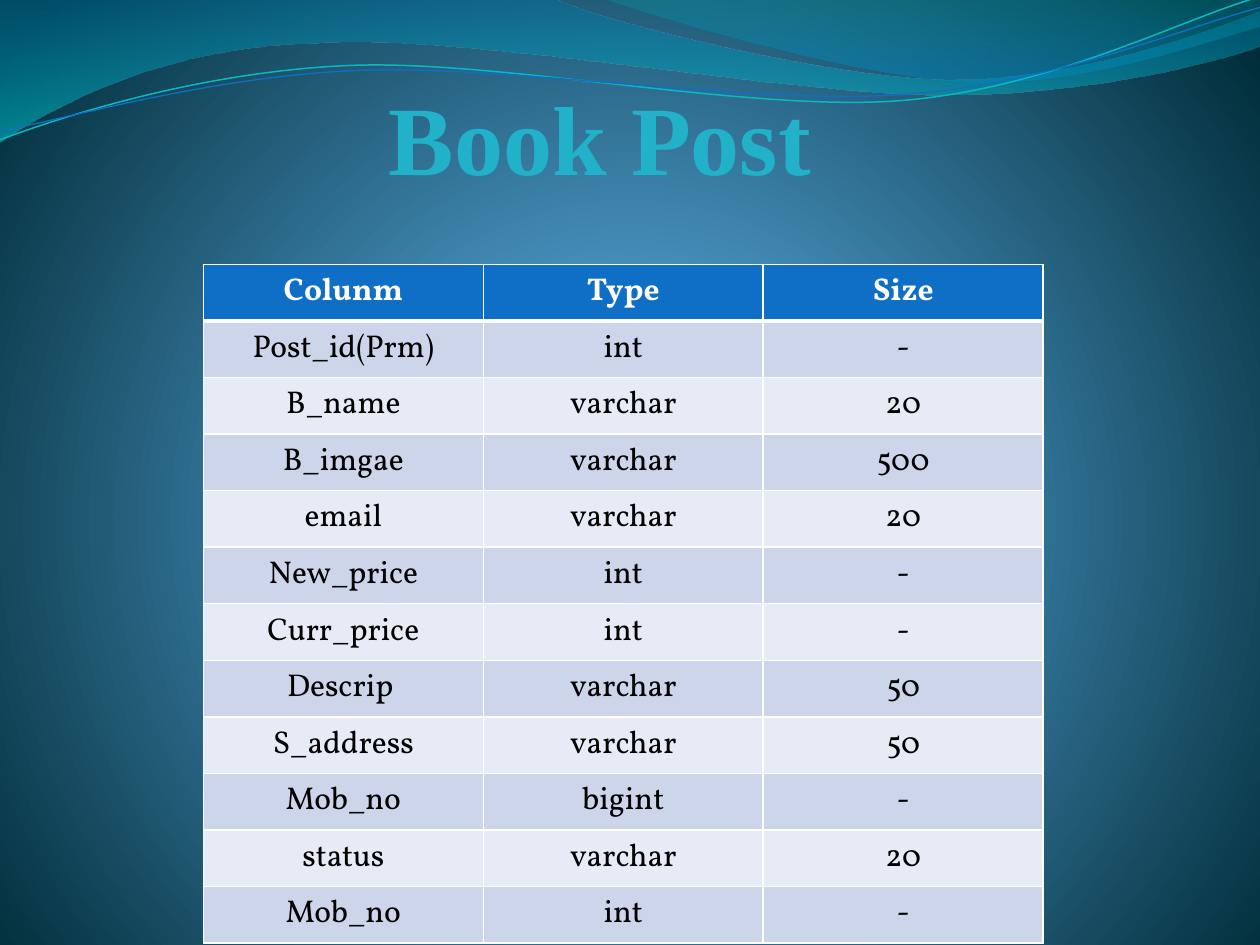
from math import cos, radians, sin

from lxml import etree
from pptx import Presentation
from pptx.dml.color import RGBColor
from pptx.enum.text import MSO_ANCHOR, PP_ALIGN
from pptx.oxml import parse_xml
from pptx.oxml.ns import nsdecls, qn
from pptx.util import Cm, Pt

MID, LOW = PP_ALIGN.CENTER, MSO_ANCHOR.BOTTOM
INCH = 2.54
TILT = -2.7

TITLE = "Book Post"
ROWS = [
    ("Colunm", "Type", "Size"),
    ("Post_id(Prm)", "int", "-"),
    ("B_name", "varchar", "20"),
    ("B_imgae", "varchar", "500"),
    ("email", "varchar", "20"),
    ("New_price", "int", "-"),
    ("Curr_price", "int", "-"),
    ("Descrip ", "varchar", "50"),
    ("S_address", "varchar", "50"),
    ("Mob_no", "bigint", "-"),
    ("status", "varchar", "20"),
    ("Mob_no", "int", "-"),
]

THEME = {
    "title": ("Times New Roman", 56, "21B2C9", True),
    "head": ("Vollkorn", 18, "FFFFFF", True),
    "body": ("Vollkorn", 18, "000000", False),
    "fills": ("0F6FC6", "CCD5EA", "E7EBF5"),
    "edge": "FFFFFF",
    "back": [(0, "4AA0D6", 100), (25, "4C98C7", 100), (100, "002C38", 100)],
}

BANDS = [
    ([(0, 0), (4.4, -0.01),
      (4.76, 0.17, 6.64, 0.63, 7.58, 0.63), (8.53, 0.63, 9.58, 0.26, 10, 0.09),
      (10.01, 0.36),
      (9.83, 0.44, 8.7, 0.76, 7.46, 0.75), (6.22, 0.75, 3.82, 0.28, 2.57, 0.34),
      (1.29, 0.36, 0.46, 0.83, -0.01, 1.13)],
     [(0, "0074A1", 45), (100, "00C6CF", 55)]),
    ([(4.79, -0.01),
      (5.09, 0.11, 6.82, 0.62, 7.69, 0.65), (8.56, 0.69, 9.61, 0.32, 10, 0.21),
      (10, 0)],
     [(0, "00A1A9", 30), (80, "008BBF", 45)]),
]
WAVES = [
    ([(0, 1.11), (0.48, 0.93, 1.58, 0.57, 2.77, 0.52),
      (3.95, 0.47, 5.93, 0.89, 7.13, 0.8), (8.33, 0.71, 9.38, 0.15, 9.98, -0.02)],
     (4.99, 0.57), "0AB8BF", 0.85),
    ([(0, 1.04), (0.47, 0.96, 1.64, 0.61, 2.83, 0.56),
      (4.03, 0.51, 5.97, 0.84, 7.17, 0.75), (8.36, 0.67, 9.41, 0.21, 10, 0.06)],
     (5, 0.59), "0F6FC6", 0.75),
]


def turn(step, hub, angle):
    co, si = cos(radians(angle)), sin(radians(angle))
    out = []
    for x, y in zip(step[::2], step[1::2]):
        x, y = x - hub[0], y - hub[1]
        out += [hub[0] + x * co - y * si, hub[1] + x * si + y * co]
    return out


def draw(slide, path, close):
    steps = [[Cm(v * INCH) for v in step] for step in path]
    pen = slide.shapes.build_freeform(*steps[0])
    pen.add_line_segments([step[-2:] for step in steps[1:]], close=close)
    shape = pen.convert_to_shape()
    shape.shadow.inherit = False
    lines = list(shape._element.iter(qn("a:lnTo")))
    for line, step in zip(lines, steps[1:]):
        if len(step) == 6:
            line.tag = qn("a:cubicBezTo")
            for i in (0, 2):
                knot = etree.Element(qn("a:pt"), x=str(step[i] - shape.left),
                                     y=str(step[i + 1] - shape.top))
                line.insert(i // 2, knot)
    return shape


def blend(root, stops, shade):
    grad = parse_xml(f'<a:gradFill {nsdecls("a")} rotWithShape="1"><a:gsLst/>{shade}</a:gradFill>')
    for pos, hue, alpha in stops:
        stop = etree.SubElement(grad[0], qn("a:gs"), pos=str(pos * 1000))
        tone = etree.SubElement(stop, qn("a:srgbClr"), val=hue)
        if alpha < 100:
            etree.SubElement(tone, qn("a:alpha"), val=str(alpha * 1000))
    old = root.find(".//" + qn("a:solidFill"))
    old.getparent().replace(old, grad)


def write(frame, text, look):
    para = frame.paragraphs[0]
    para.text = text
    para.alignment = MID
    font = para.font
    font.name, size, hue, font.bold = look
    font.size = Pt(size)
    font.color.rgb = RGBColor.from_string(hue)


def rule(cell, sides):
    for i, (side, width) in enumerate(sides):
        cell._tc.get_or_add_tcPr().insert(i, parse_xml(
            f'<a:ln{side} {nsdecls("a")} w="{Pt(width)}"><a:solidFill>'
            f'<a:srgbClr val="{THEME["edge"]}"/></a:solidFill></a:ln{side}>'))


def main():
    deck = Presentation()
    deck.slide_width, deck.slide_height = Cm(25.4), Cm(19.05)
    slide = deck.slides.add_slide(deck.slide_layouts[6])

    slide.background.fill.solid()
    slide.background.fill.fore_color.rgb = RGBColor(0, 0, 0)
    blend(slide._element, THEME["back"],
          '<a:path path="circle"><a:fillToRect l="10000" t="110000" r="10000" b="100000"/></a:path>')

    for path, stops in BANDS:
        band = draw(slide, path, True)
        band.line.fill.background()
        band.fill.solid()
        blend(band._element.spPr, stops, '<a:lin ang="5400000" scaled="1"/>')
    for path, hub, hue, width in WAVES:
        wave = draw(slide, [turn(step, hub, -TILT) for step in path], False)
        wave.rotation = TILT
        wave.fill.background()
        wave.line.color.rgb = RGBColor.from_string(hue)
        wave.line.width = Pt(width)

    frame = slide.shapes.add_textbox(Cm(1.3), Cm(0.74), Cm(21.59), Cm(3.2)).text_frame
    frame.word_wrap = True
    frame.vertical_anchor = LOW
    frame.margin_left = frame.margin_top = frame.margin_right = frame.margin_bottom = 0
    write(frame, TITLE, THEME["title"])

    count = len(ROWS)
    table = slide.shapes.add_table(count, 3, Cm(4.1), Cm(5.33),
                                   Cm(16.93), Cm(1.14 * count)).table
    table.horz_banding = False
    for r, row in enumerate(ROWS):
        fill = THEME["fills"][0 if r == 0 else 2 - r % 2]
        sides = [("L", 1), ("R", 1), ("T", 3 if r == 1 else 1), ("B", 3 if r == 0 else 1)]
        for c, text in enumerate(row):
            cell = table.cell(r, c)
            write(cell.text_frame, text, THEME["body" if r else "head"])
            cell.fill.solid()
            cell.fill.fore_color.rgb = RGBColor.from_string(fill)
            rule(cell, sides)

    deck.save("out.pptx")


if __name__ == "__main__":
    main()
